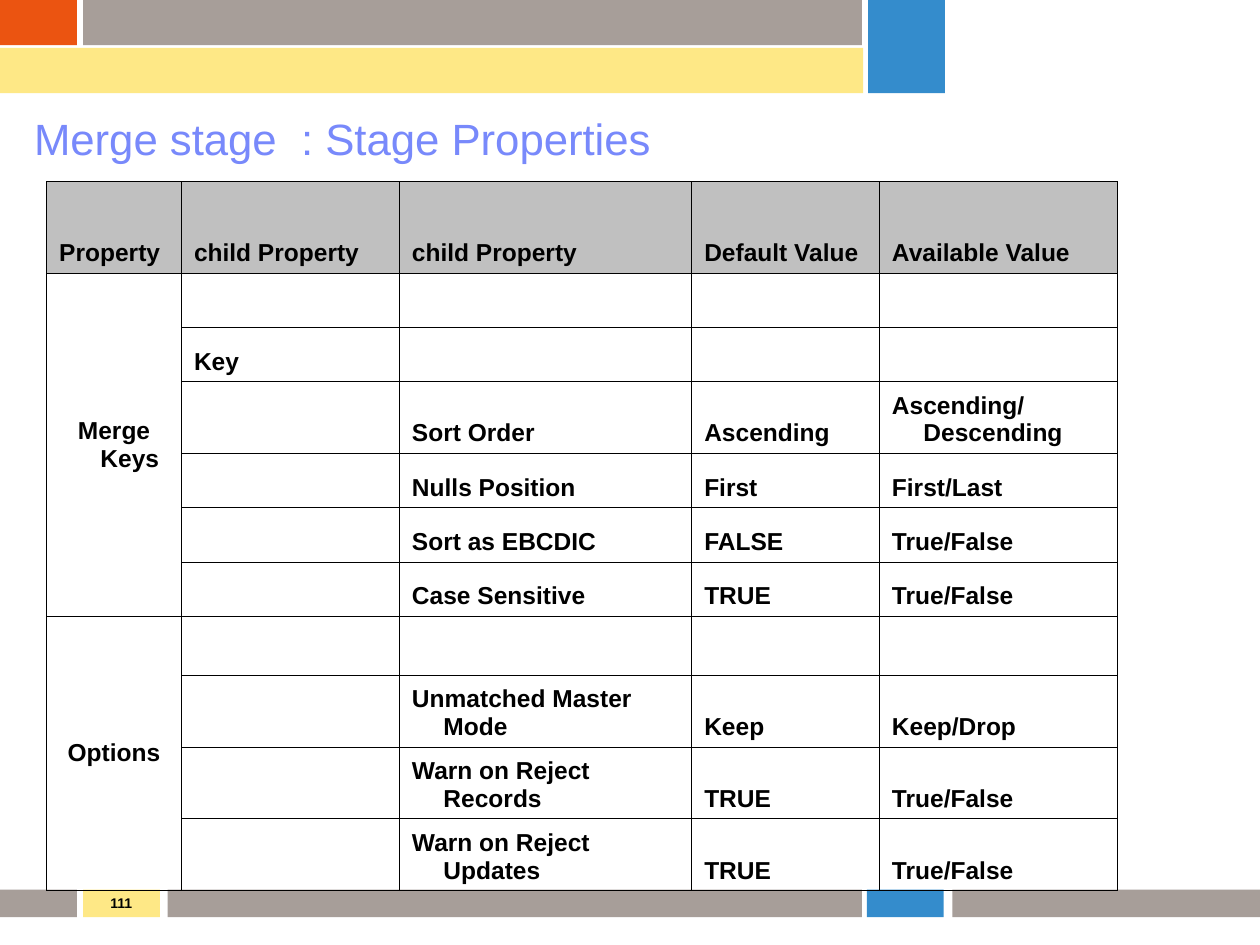
from lxml import etree
from pptx import Presentation
from pptx import util as u
from pptx.dml.color import RGBColor
from pptx.enum import shapes, text
from pptx.oxml import ns

ORANGE = RGBColor(0xEB, 0x54, 0x11)
TAUPE = RGBColor(0xA7, 0x9E, 0x99)
BLUE = RGBColor(0x34, 0x8C, 0xCC)
YELLOW = RGBColor(0xFE, 0xE8, 0x86)
VIOLET = RGBColor(0x78, 0x89, 0xFB)
GREY = RGBColor(0xC0, 0xC0, 0xC0)
BLACK = RGBColor(0, 0, 0)

HEADER_BARS = [
    (0, 0, 0.61, 0.36, ORANGE),
    (0.66, 0, 6.18, 0.36, TAUPE),
    (6.89, 0, 0.61, 0.74, BLUE),
    (0, 0.38, 6.85, 0.36, YELLOW),
]
FOOTER_BARS = [
    (left, 7.06, width, 0.22, color)
    for left, width, color in [
        (0, 0.61, TAUPE),
        (0.66, 0.61, YELLOW),
        (1.33, 5.51, TAUPE),
        (6.88, 0.61, BLUE),
        (7.56, 2.44, TAUPE),
    ]
]

COL_WIDTHS = [1.07, 1.73, 2.32, 1.49, 1.89]
ROW_HEIGHTS = [0.73, 0.43, 0.43, 0.57, 0.43, 0.43, 0.43, 0.47, 0.57, 0.57, 0.57]
ROWS = [
    ["Property", "child Property", "child Property", "Default Value", "Available Value"],
    ["Merge Keys", "", "", "", ""],
    ["", "Key", "", "", ""],
    ["", "", "Sort Order", "Ascending", "Ascending/ Descending"],
    ["", "", "Nulls Position", "First", "First/Last"],
    ["", "", "Sort as EBCDIC", "FALSE", "True/False"],
    ["", "", "Case Sensitive", "TRUE", "True/False"],
    ["Options", "", "", "", ""],
    ["", "", "Unmatched Master Mode", "Keep", "Keep/Drop"],
    ["", "", "Warn on Reject Records", "TRUE", "True/False"],
    ["", "", "Warn on Reject Updates", "TRUE", "True/False"],
]
GROUPS = [(1, 6), (7, 10)]


def add_run(p, value, size, color, bold=False):
    r = p.add_run()
    r.text = value
    r.font.name = "Arial"
    r.font.size = u.Pt(size)
    r.font.bold = bold
    r.font.color.rgb = color


def add_bar(s, left, top, width, height, color):
    sp = s.shapes.add_shape(
        shapes.MSO_SHAPE.RECTANGLE,
        u.Inches(left), u.Inches(top), u.Inches(width), u.Inches(height),
    )
    sp.shadow.inherit = False
    sp.fill.solid()
    sp.fill.fore_color.rgb = color
    sp.line.fill.background()


def add_page_number(s, value):
    sp = s.shapes.add_textbox(
        u.Inches(0.77), u.Inches(7.06), u.Inches(0.37), u.Inches(0.21)
    )
    tf = sp.text_frame
    tf.word_wrap = True
    tf.margin_left = 0
    tf.margin_right = u.Inches(0.09)
    tf.margin_top = tf.margin_bottom = u.Inches(0.04)
    p = tf.paragraphs[0]
    p.alignment = text.PP_ALIGN.RIGHT
    add_run(p, value, 8, BLACK, True)


def set_title(s, value):
    sp = s.shapes.title
    sp.left, sp.top = u.Inches(0.17), u.Inches(0.88)
    sp.width, sp.height = u.Inches(9.26), u.Inches(0.48)
    tf = sp.text_frame
    tf.vertical_anchor = text.MSO_ANCHOR.MIDDLE
    p = tf.paragraphs[0]
    p.alignment = text.PP_ALIGN.LEFT
    p.line_spacing = 0.9
    add_run(p, value, 25, VIOLET)


def set_borders(cell):
    tcPr = cell._tc.get_or_add_tcPr()
    for side in ("a:lnL", "a:lnR", "a:lnT", "a:lnB"):
        ln = etree.SubElement(tcPr, ns.qn(side), w=str(u.Pt(0.45)))
        fill = etree.SubElement(ln, ns.qn("a:solidFill"))
        etree.SubElement(fill, ns.qn("a:srgbClr"), val=str(BLACK))


def format_cell(cell, value, is_header, is_group):
    set_borders(cell)
    if is_header:
        cell.fill.solid()
        cell.fill.fore_color.rgb = GREY
    else:
        cell.fill.background()
    anchor = text.MSO_ANCHOR
    cell.vertical_anchor = anchor.MIDDLE if is_group else anchor.BOTTOM
    p = cell.text_frame.paragraphs[0]
    if not value:
        p.font.size = u.Pt(14)
        return
    pPr = p._p.get_or_add_pPr()
    pPr.set("marL", str(u.Inches(0.25)))
    pPr.set("indent", str(u.Inches(-0.25)))
    if is_group:
        p.alignment = text.PP_ALIGN.CENTER
    add_run(p, value, 14, BLACK, True)


def add_properties_table(s):
    table = s.shapes.add_table(
        len(ROWS), len(COL_WIDTHS), u.Inches(0.37), u.Inches(1.44),
        u.Inches(sum(COL_WIDTHS)), u.Inches(sum(ROW_HEIGHTS)),
    ).table
    table.first_row = False
    table.horz_banding = False
    for column, width in zip(table.columns, COL_WIDTHS):
        column.width = u.Inches(width)
    for row, height in zip(table.rows, ROW_HEIGHTS):
        row.height = u.Inches(height)
    for i, values in enumerate(ROWS):
        for j, value in enumerate(values):
            format_cell(table.cell(i, j), value, i == 0, i > 0 and j == 0)
    for first, last in GROUPS:
        table.cell(first, 0).merge(table.cell(last, 0))


def main():
    prs = Presentation()
    prs.slide_width, prs.slide_height = u.Inches(10), u.Inches(7.5)
    s = prs.slides.add_slide(prs.slide_layouts[5])
    for bar in HEADER_BARS + FOOTER_BARS:
        add_bar(s, *bar)
    add_page_number(s, "111")
    set_title(s, "Merge stage  : Stage Properties")
    add_properties_table(s)
    prs.save("out.pptx")


if __name__ == "__main__":
    main()
